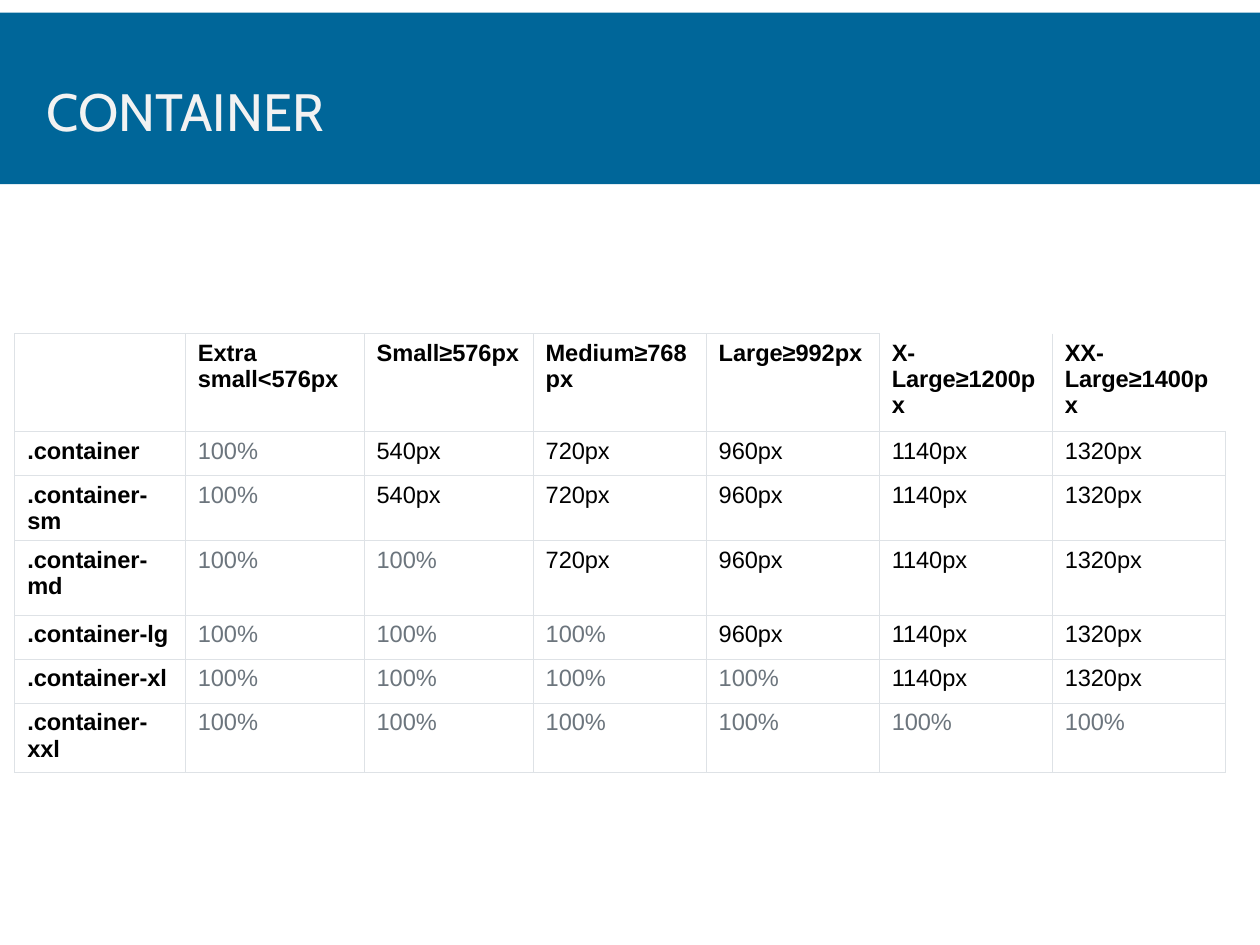
"""Build a slide that tabulates container widths per breakpoint."""
from pptx import Presentation
from pptx.dml.color import RGBColor
from pptx.enum.shapes import MSO_SHAPE
from pptx.enum.text import MSO_ANCHOR, MSO_AUTO_SIZE, PP_ALIGN
from pptx.oxml.ns import qn
from pptx.util import Pt
from lxml.etree import Element, SubElement

COLORS = {
    "band": "006699",
    "title": "F2F2F2",
    "text": "000000",
    "muted": "6C757D",
    "border": "DEE2E6",
    "cell": "FFFFFF",
}
HEADERS = ["", "Extra small<576px", "Small≥576px", "Medium≥768px",
           "Large≥992px", "X-Large≥1200px", "XX-Large≥1400px"]
WIDTHS = ["100%", "540px", "720px", "960px", "1140px", "1320px"]
FULL_WIDTH_COUNTS = {
    ".container": 1,
    ".container-sm": 1,
    ".container-md": 2,
    ".container-lg": 3,
    ".container-xl": 4,
    ".container-xxl": 6,
}
COLUMN_WIDTHS = [97.5, 102.2, 96.6] + [98.9] * 4
ROW_HEIGHTS = [56, 25.2, 25.2, 42.5, 25.2, 25.2, 39.6]
OPEN_SIDES = {(0, 5): "T", (0, 6): "RT"}


def write_text(text_frame, text, *, size, font, color, bold=False, spacing=None):
    paragraph = text_frame.paragraphs[0]
    paragraph.alignment = PP_ALIGN.LEFT
    paragraph.line_spacing = spacing
    run = paragraph.add_run()
    run.text = text
    run.font.size = Pt(size)
    run.font.name = font
    run.font.bold = bold
    run.font.color.rgb = RGBColor.from_string(COLORS[color])


def draw_borders(cell, open_sides=""):
    properties = cell._tc.get_or_add_tcPr()
    for index, side in enumerate("LRTB"):
        line = Element(qn(f"a:ln{side}"), w=str(Pt(0.75)))
        if side in open_sides:
            SubElement(line, qn("a:noFill"))
        else:
            fill = SubElement(line, qn("a:solidFill"))
            SubElement(fill, qn("a:srgbClr"), val=COLORS["border"])
        properties.insert(index, line)


class SlideBuilder:
    def __init__(self, slide):
        self.slide = slide
        self.title_font = "Cabin"
        self.body_font = "Arial"

    def title(self, text, left, top, width, height):
        shape = self.slide.shapes.title
        shape.left, shape.top = Pt(left), Pt(top)
        shape.width, shape.height = Pt(width), Pt(height)
        frame = shape.text_frame
        frame.vertical_anchor = MSO_ANCHOR.MIDDLE
        frame.auto_size = MSO_AUTO_SIZE.NONE
        write_text(frame, text, size=30, font=self.title_font, color="title", spacing=0.85)

    def band(self, left, top, width, height):
        shape = self.slide.shapes.add_shape(
            MSO_SHAPE.RECTANGLE, Pt(left), Pt(top), Pt(width), Pt(height))
        shape.shadow.inherit = False
        shape.fill.solid()
        shape.fill.fore_color.rgb = RGBColor.from_string(COLORS["band"])
        shape.line.fill.background()
        self.slide.shapes.title._element.addprevious(shape._element)

    def table(self, rows, left, top):
        table = self.slide.shapes.add_table(
            len(rows), len(COLUMN_WIDTHS), Pt(left), Pt(top),
            Pt(sum(COLUMN_WIDTHS)), Pt(sum(ROW_HEIGHTS))).table
        table.first_row = table.horz_banding = False
        for column, width in zip(table.columns, COLUMN_WIDTHS):
            column.width = Pt(width)
        for row, height in zip(table.rows, ROW_HEIGHTS):
            row.height = Pt(height)
        for row_index, row in enumerate(rows):
            for column_index, text in enumerate(row):
                self.cell(table.cell(row_index, column_index), text,
                          bold=row_index == 0 or column_index == 0,
                          open_sides=OPEN_SIDES.get((row_index, column_index), ""))

    def cell(self, cell, text, bold, open_sides):
        if open_sides:
            cell.fill.background()
        else:
            cell.fill.solid()
            cell.fill.fore_color.rgb = RGBColor.from_string(COLORS["cell"])
        draw_borders(cell, open_sides)
        if text:
            write_text(cell.text_frame, text, size=13.5, font=self.body_font, bold=bold,
                       color="muted" if text == "100%" else "text")


def main():
    presentation = Presentation()
    presentation.slide_width, presentation.slide_height = Pt(720), Pt(540)
    slide = presentation.slides.add_slide(presentation.slide_layouts[5])
    builder = SlideBuilder(slide)
    builder.title("CONTAINER", 19.4, 26.6, 680.4, 78.5)
    builder.band(0, 7.2, 720, 98)
    rows = [HEADERS] + [
        [name] + ["100%"] * count + WIDTHS[count:]
        for name, count in FULL_WIDTH_COUNTS.items()
    ]
    builder.table(rows, 8.4, 190.6)
    presentation.save("out.pptx")


if __name__ == "__main__":
    main()
